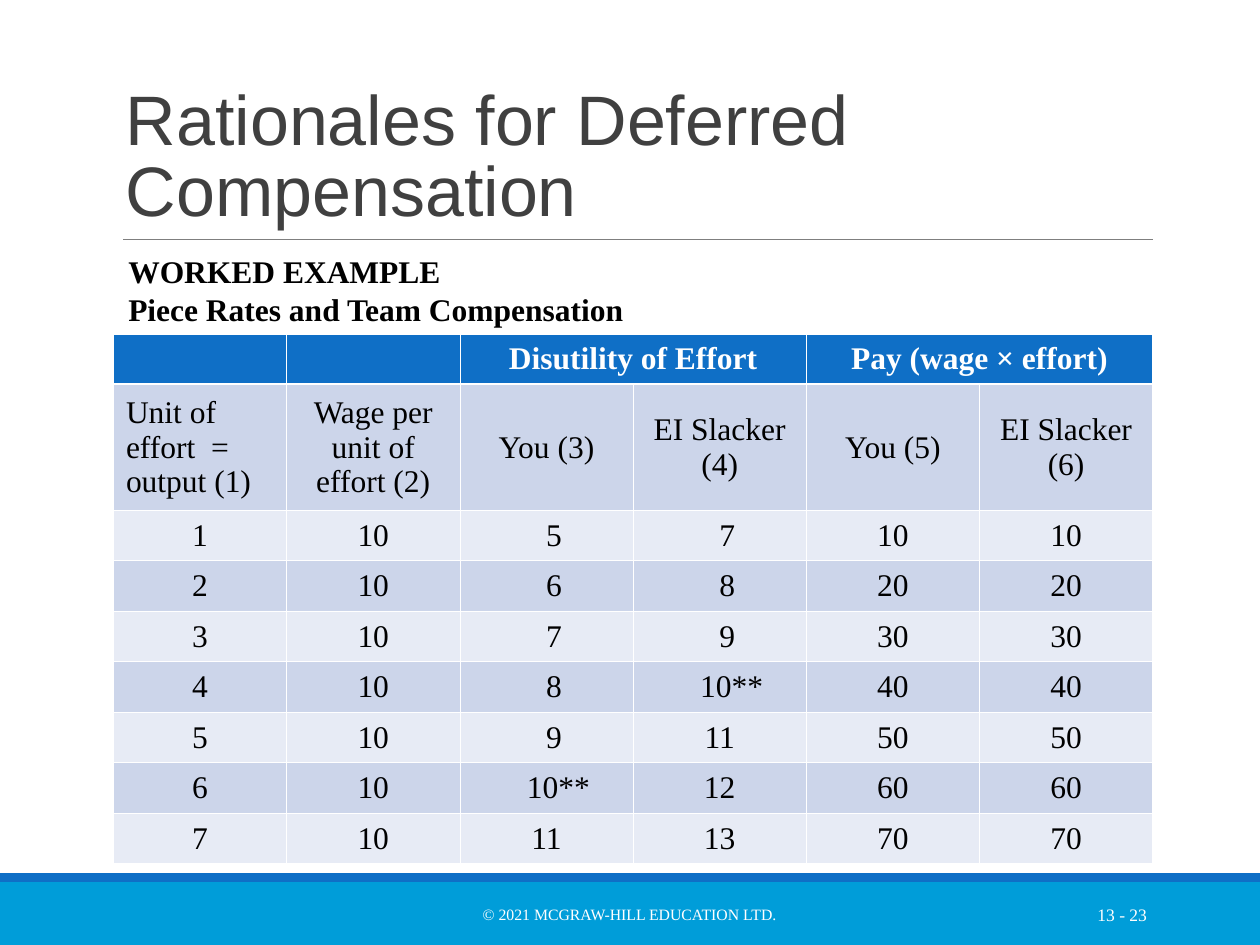
import pptx
import pptx.util
import pptx.dml.color
import pptx.enum.shapes
import pptx.enum.text
import pptx.oxml
import pptx.oxml.ns
from pptx.util import Inches

RGBColor = pptx.dml.color.RGBColor
PP_ALIGN = pptx.enum.text.PP_ALIGN
MSO_ANCHOR = pptx.enum.text.MSO_ANCHOR

WHITE = RGBColor(0xFF, 0xFF, 0xFF)
BLACK = RGBColor(0x00, 0x00, 0x00)
CHARCOAL = RGBColor(0x40, 0x40, 0x40)
GREY = RGBColor(0x7F, 0x7F, 0x7F)
SKY = RGBColor(0x00, 0x9D, 0xD9)
BLUE = RGBColor(0x0F, 0x6F, 0xC6)
DARK_BAND = RGBColor(0xCC, 0xD5, 0xEA)
LIGHT_BAND = RGBColor(0xE7, 0xEB, 0xF5)

SERIF = "Times New Roman"

FOOTER_BANDS = [((0, 7, 10, 0.5), SKY), ((0, 6.93, 10, 0.07), BLUE)]

TEXTS = [
    (["© 2021 MCGRAW-HILL EDUCATION LTD."], (3.02, 7.06, 3.95, 0.4), MSO_ANCHOR.MIDDLE,
     {"alignment": PP_ALIGN.CENTER}, {"name": SERIF, "size": 9}, WHITE),
    (["13 - 23"], (8.12, 7.06, 1.08, 0.4), MSO_ANCHOR.MIDDLE,
     {"alignment": PP_ALIGN.RIGHT}, {"name": SERIF, "size": 10}, WHITE),
    (["Rationales for Deferred Compensation"], (0.9, 0.29, 8.25, 1.59), MSO_ANCHOR.BOTTOM,
     {"line_spacing": 0.85}, {"name": "Arial", "size": 40}, CHARCOAL),
    (["WORKED EXAMPLE", "Piece Rates and Team Compensation"], (0.92, 1.95, 5, 0.7),
     MSO_ANCHOR.TOP, {}, {"name": SERIF, "size": 18, "bold": True}, BLACK),
]

GROUP_HEADS = ["", "", "Disutility of Effort", "", "Pay (wage × effort)", ""]
COLUMN_HEADS = ["Unit of effort  = output (1)", "Wage per unit of effort (2)",
                "You (3)", "EI Slacker (4)", "You (5)", "EI Slacker (6)"]
YOUR_DISUTILITY = ["5", "6", "7", "8", "9", "10**", "11"]
SLACKER_DISUTILITY = ["7", "8", "9", "10**", "11", "12", "13"]
WAGE = 10

EXTRA_INDENT = {1: 0.12, 2: 0, 4: 0.19}
TABLE_AREA = (0.9, 2.65, 8.25, 4.2)
HEAD_HEIGHT, ROW_HEIGHT = 1, 0.4


def apply_format(target, values):
    for key, value in values.items():
        setattr(target, key, pptx.util.Pt(value) if key == "size" else value)


def write(paragraph, lines, layout, font, color):
    apply_format(paragraph, layout)
    for number, line in enumerate(lines):
        if number:
            paragraph.add_line_break()
        run = paragraph.add_run()
        run.text = line
        apply_format(run.font, font)
        run.font.color.rgb = color


def draw_borders(cell, widths):
    properties = cell._tc.get_or_add_tcPr()
    for position, (side, width) in enumerate(widths.items()):
        properties.insert(position, pptx.oxml.parse_xml(
            f'<a:{side} {pptx.oxml.ns.nsdecls("a")} w="{pptx.util.Pt(width)}">'
            f'<a:solidFill><a:srgbClr val="{WHITE}"/></a:solidFill></a:{side}>'))


def add_pay_table(slide):
    rows = [GROUP_HEADS, COLUMN_HEADS]
    for effort, (yours, slackers) in enumerate(zip(YOUR_DISUTILITY, SLACKER_DISUTILITY), 1):
        pay = str(WAGE * effort)
        rows.append([str(effort), str(WAGE), yours, slackers, pay, pay])

    columns = len(COLUMN_HEADS)
    table = slide.shapes.add_table(len(rows), columns, *map(Inches, TABLE_AREA)).table
    for column in table.columns:
        column.width = Inches(TABLE_AREA[2] / columns)
    for r, texts in enumerate(rows):
        table.rows[r].height = Inches(HEAD_HEIGHT if r == 1 else ROW_HEIGHT)
        for c, text in enumerate(texts):
            cell = table.cell(r, c)
            cell.vertical_anchor = MSO_ANCHOR.MIDDLE
            cell.fill.solid()
            cell.fill.fore_color.rgb = BLUE if r == 0 else DARK_BAND if r % 2 else LIGHT_BAND
            draw_borders(cell, {"lnL": 0.45, "lnR": 0.45,
                                "lnT": 1.47 if r == 1 else 0.45,
                                "lnB": 1.47 if r == 0 else 0.45})
            if r > 1 and c in (2, 3):
                cell.margin_left = Inches(0.1 + EXTRA_INDENT[len(text)])
            if text:
                align = PP_ALIGN.LEFT if (r, c) == (1, 0) else PP_ALIGN.CENTER
                write(cell.text_frame.paragraphs[0], [text], {"alignment": align},
                      {"name": SERIF, "size": 18, "bold": r == 0},
                      WHITE if r == 0 else BLACK)
    for c in (2, 4):
        table.cell(0, c).merge(table.cell(0, c + 1))


def main():
    deck = pptx.Presentation()
    deck.slide_width, deck.slide_height = Inches(10), Inches(7.5)
    slide = deck.slides.add_slide(deck.slide_layouts[6])

    for area, color in FOOTER_BANDS:
        band = slide.shapes.add_shape(
            pptx.enum.shapes.MSO_SHAPE.RECTANGLE, *map(Inches, area))
        band.shadow.inherit = False
        band.fill.solid()
        band.fill.fore_color.rgb = color
        band.line.fill.background()

    title_rule = slide.shapes.add_connector(
        pptx.enum.shapes.MSO_CONNECTOR.STRAIGHT, *map(Inches, (0.98, 1.9, 9.15, 1.9)))
    title_rule.line.color.rgb = GREY
    title_rule.line.width = pptx.util.Pt(0.5)
    title_rule._element.spPr.append(
        pptx.oxml.parse_xml(f'<a:effectLst {pptx.oxml.ns.nsdecls("a")}/>'))

    for lines, area, anchor, layout, font, color in TEXTS:
        frame = slide.shapes.add_textbox(*map(Inches, area)).text_frame
        frame.word_wrap = True
        frame.vertical_anchor = anchor
        write(frame.paragraphs[0], lines, layout, font, color)

    add_pay_table(slide)
    deck.save("out.pptx")


if __name__ == "__main__":
    main()
